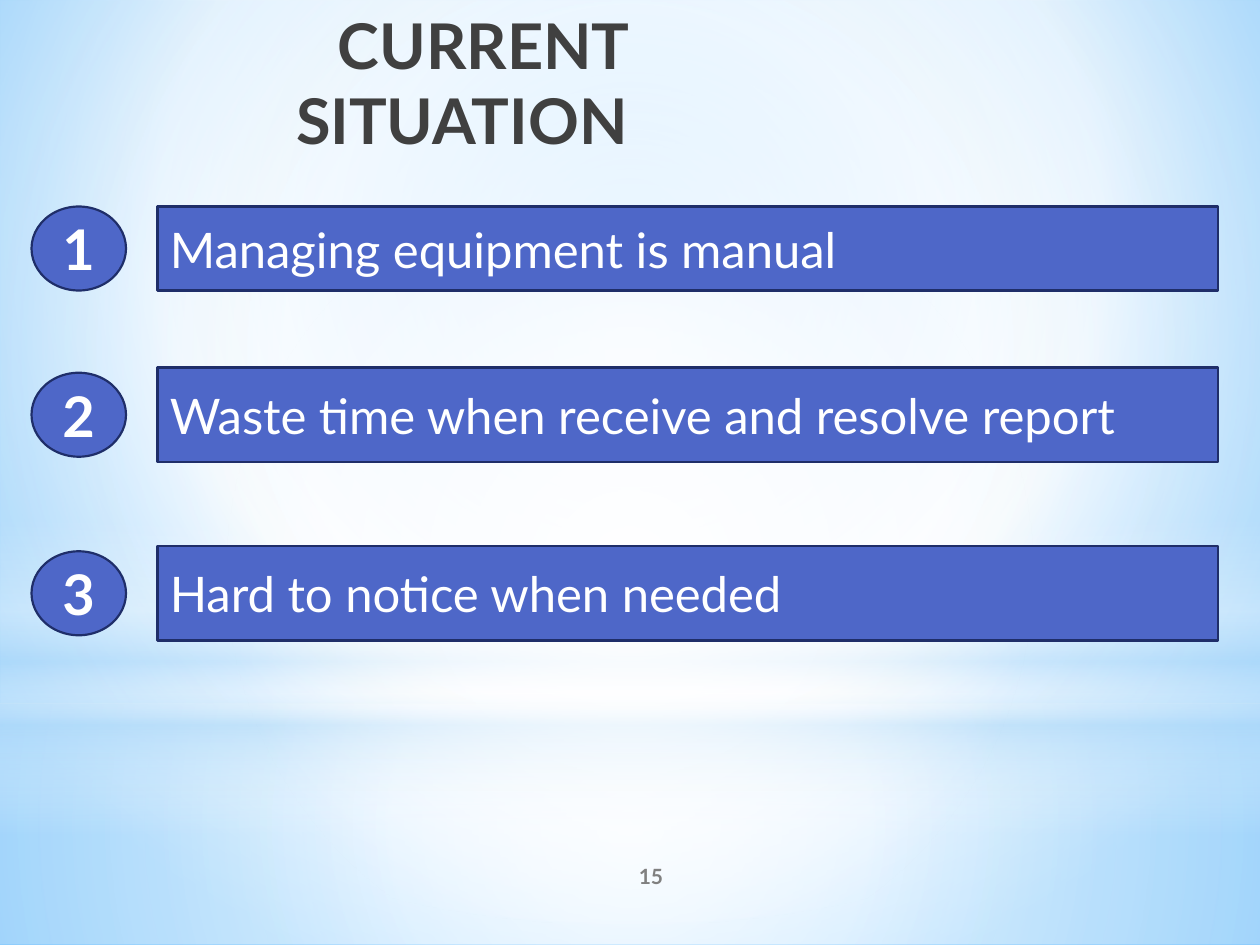
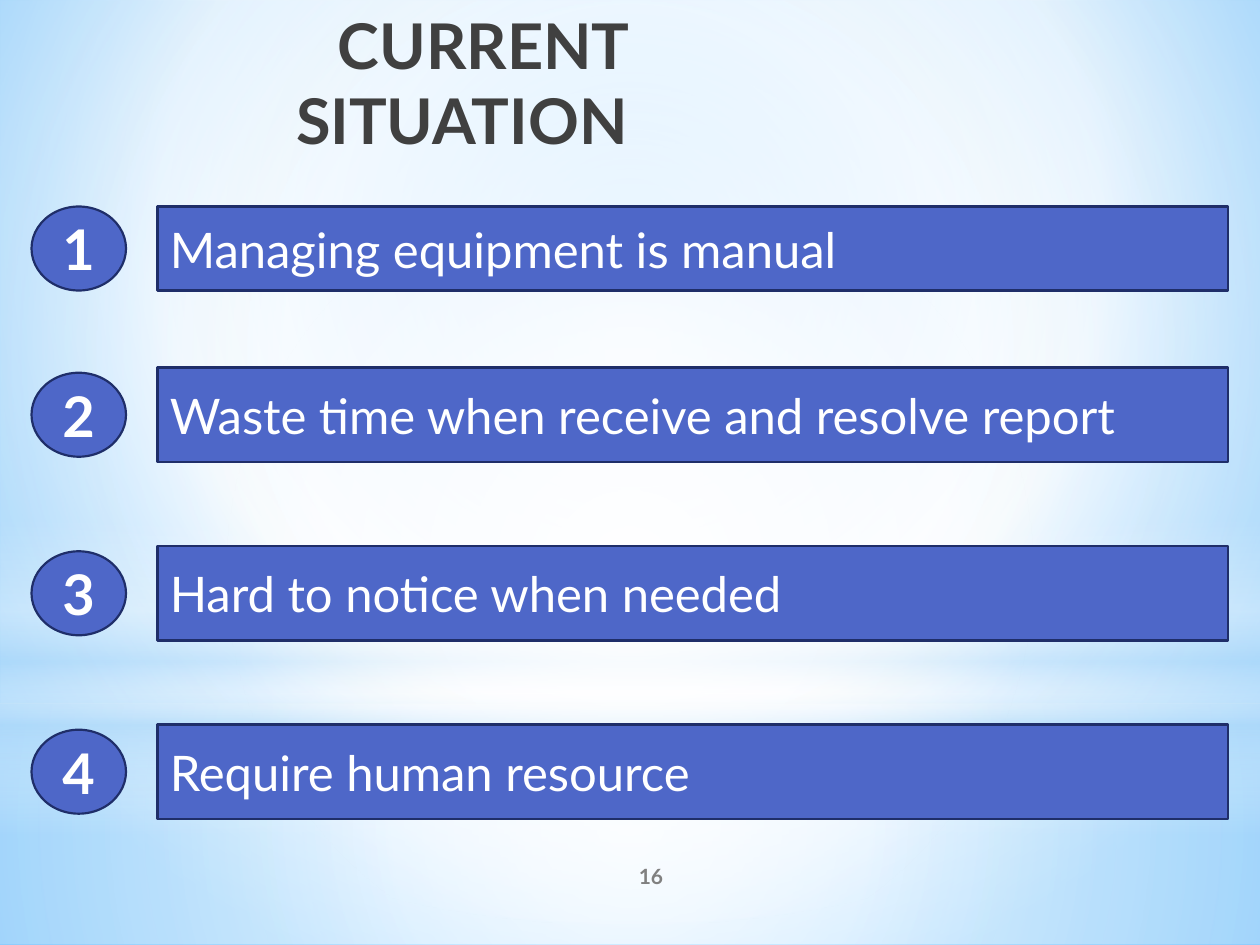
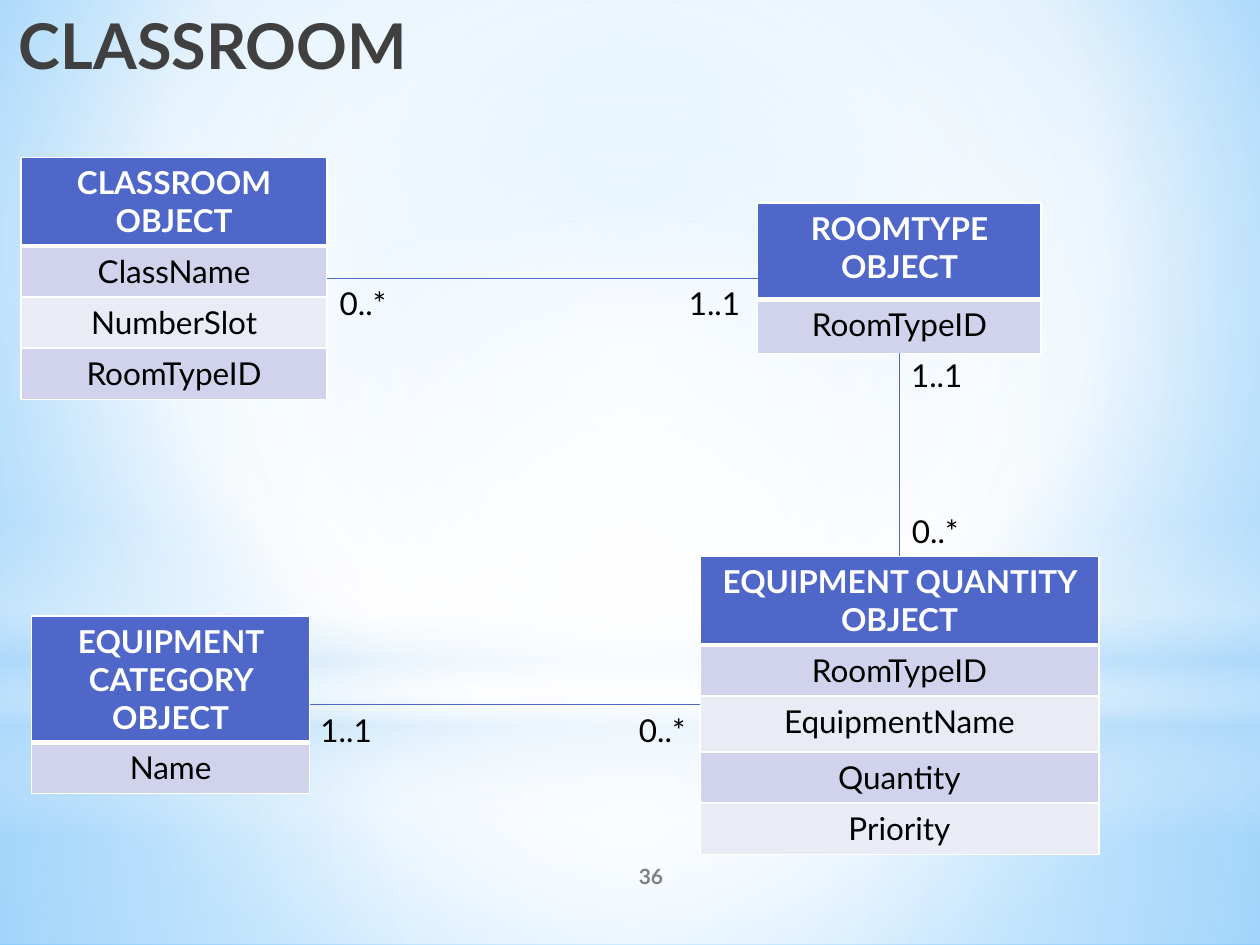
from dataclasses import dataclass

from lxml import etree
from pptx import Presentation
from pptx.dml.color import RGBColor
from pptx.enum.shapes import MSO_CONNECTOR, MSO_SHAPE
from pptx.enum.text import MSO_ANCHOR, MSO_AUTO_SIZE, PP_ALIGN
from pptx.oxml import parse_xml
from pptx.oxml.ns import qn
from pptx.util import Pt

RECTANGLE, OVAL = MSO_SHAPE.RECTANGLE, MSO_SHAPE.OVAL
STRAIGHT = MSO_CONNECTOR.STRAIGHT
LEFT, CENTER, RIGHT = PP_ALIGN.LEFT, PP_ALIGN.CENTER, PP_ALIGN.RIGHT
TOP, MIDDLE = MSO_ANCHOR.TOP, MSO_ANCHOR.MIDDLE
NO_FIT = MSO_AUTO_SIZE.NONE

FONT = "Lato"
WHITE, BLACK = "FFFFFF", "000000"
BLUE, NAVY, SKY = "4E67C8", "1F2E69", "B4DCFA"
TITLE_GREY, NUMBER_GREY = "404040", "808080"
BANDS = ("D0D3EB", "E9EBF5")
DRAWING_NS = "http://schemas.openxmlformats.org/drawingml/2006/main"

SLIDE_WIDTH, SLIDE_HEIGHT = 720, 540
TITLE_HEIGHT = 63
BADGE_LEFT, BADGE_WIDTH, BADGE_HEIGHT = 18, 54, 48
BAR_LEFT = 90
ROW_HEIGHT = 29.2


@dataclass(frozen=True)
class Gradient:
    stops: tuple[tuple[int, str, int], ...]
    focus: tuple[int, int, int, int] | None = (50, 50, 50, 50)


@dataclass(frozen=True)
class Glow:
    kind: int
    top: float
    height: float
    gradient: Gradient


@dataclass(frozen=True)
class Issue:
    text: str
    top: float
    height: float = 54


@dataclass(frozen=True)
class Entity:
    name: str
    fields: tuple[str, ...]
    left: float
    top: float
    width: float
    heights: tuple[float, ...]

    @property
    def right(self) -> float:
        return self.left + self.width

    @property
    def bottom(self) -> float:
        return self.top + sum(self.heights)

    @property
    def middle(self) -> float:
        return self.left + self.width / 2


@dataclass(frozen=True)
class Multiplicity:
    text: str
    left: float
    top: float


BACKGROUND = Gradient(
    ((0, "9ED5FF", 100), (60, WHITE, 100), (100, "5BB9FF", 100)), (20, 10, 20, 60))
GLOWS = (
    Glow(RECTANGLE, 402, 138,
         Gradient(((0, WHITE, 91), (37, WHITE, 76), (100, SKY, 79)))),
    Glow(RECTANGLE, 0, 402,
         Gradient(((0, WHITE, 89), (48, WHITE, 62), (100, SKY, 79)))),
    Glow(RECTANGLE, 297, 180,
         Gradient(((0, WHITE, 0), (29, WHITE, 30), (45, SKY, 40),
                   (55, WHITE, 26), (65, SKY, 60), (100, WHITE, 0)), None)),
    Glow(OVAL, 126, 402, Gradient(((0, WHITE, 100), (56, WHITE, 0)))),
)

ISSUES = (
    Issue("Managing equipment is manual", 118, 48),
    Issue("Waste time when receive and resolve report", 210),
    Issue("Hard to notice when needed", 312),
    Issue("Require human resource", 414),
)

CLASSROOM = Entity("CLASSROOM OBJECT", ("ClassName", "NumberSlot", "RoomTypeID"),
                   12, 90, 175, (50.6,) + (ROW_HEIGHT,) * 3)
ROOM_TYPE = Entity("ROOMTYPE OBJECT", ("RoomTypeID",), 433, 116, 162, (55, 31))
QUANTITY = Entity("EQUIPMENT QUANTITY OBJECT",
                  ("RoomTypeID", "EquipmentName", "Quantity", "Priority"),
                  400, 318, 228, (50.6, ROW_HEIGHT, 32, ROW_HEIGHT, ROW_HEIGHT))
CATEGORY = Entity("EQUIPMENT CATEGORY OBJECT", ("Name",),
                  18, 352, 159, (72.3, ROW_HEIGHT))
ENTITIES = (CLASSROOM, ROOM_TYPE, QUANTITY, CATEGORY)

CLASSROOM_LINK, CATEGORY_LINK = 159, 402.5
LINKS = (
    (CLASSROOM.right, CLASSROOM_LINK, ROOM_TYPE.left, CLASSROOM_LINK),
    (ROOM_TYPE.middle, ROOM_TYPE.bottom, ROOM_TYPE.middle, QUANTITY.top),
    (QUANTITY.left, CATEGORY_LINK, CATEGORY.right, CATEGORY_LINK),
)
MULTIPLICITIES = (
    Multiplicity("0..*", 187, CLASSROOM_LINK),
    Multiplicity("1..1", 386.5, CLASSROOM_LINK),
    Multiplicity("0..*", 514, 289),
    Multiplicity("1..1", 513.5, 200),
    Multiplicity("1..1", 176, CATEGORY_LINK),
    Multiplicity("0..*", 358, CATEGORY_LINK),
)


def rgb(color: str) -> RGBColor:
    return RGBColor.from_string(color)


def write(frame, text: str, size: float, color: str, bold: bool = False,
          align=LEFT, anchor=MIDDLE, wrap: bool = True) -> None:
    frame.word_wrap = wrap
    frame.auto_size = NO_FIT
    frame.vertical_anchor = anchor
    add_span(frame.paragraphs[0], text, size, color, bold, align)


def add_span(para, text: str, size: float, color: str, bold: bool, align) -> None:
    para.alignment = align
    span = para.add_run()
    span.text = text
    span.font.name = FONT
    span.font.size = Pt(size)
    span.font.bold = bold
    span.font.color.rgb = rgb(color)


def apply_gradient(fill, owner, gradient: Gradient) -> None:
    fill.gradient()
    stops = "".join(
        f'<a:gs pos="{place * 1000}"><a:srgbClr val="{color}">'
        f'<a:alpha val="{opacity * 1000}"/></a:srgbClr></a:gs>'
        for place, color, opacity in gradient.stops)
    if gradient.focus:
        sides = " ".join(f'{side}="{share * 1000}"'
                         for side, share in zip("ltrb", gradient.focus))
        direction = f'<a:path path="circle"><a:fillToRect {sides}/></a:path>'
    else:
        direction = '<a:lin ang="5400000" scaled="0"/>'
    old = next(owner.iter(qn("a:gradFill")))
    old.getparent().replace(old, parse_xml(
        f'<a:gradFill xmlns:a="{DRAWING_NS}" rotWithShape="1">'
        f'<a:gsLst>{stops}</a:gsLst>{direction}</a:gradFill>'))


def add_glow(page, glow: Glow):
    shape = page.shapes.add_shape(
        glow.kind, Pt(0), Pt(glow.top), Pt(SLIDE_WIDTH), Pt(glow.height))
    shape.shadow.inherit = False
    shape.line.fill.background()
    apply_gradient(shape.fill, shape.element, glow.gradient)
    return shape


def dress_layout(layout, page) -> None:
    for holder in list(layout.placeholders):
        if holder.placeholder_format.idx:
            holder.element.getparent().remove(holder.element)
    apply_gradient(layout.background.fill, layout.element, BACKGROUND)
    shapes = [add_glow(page, glow) for glow in GLOWS]
    for index, shape in enumerate(shapes, start=2):
        layout.shapes.element.insert(index, shape.element)


def add_box(page, text: str, left: float, top: float, width: float, height: float,
            size: float, color: str, **style) -> None:
    box = page.shapes.add_textbox(Pt(left), Pt(top), Pt(width), Pt(height))
    write(box.text_frame, text, size, color, **style)


def set_title(page, text: str, width: float) -> None:
    title = page.shapes.title
    title.left, title.top = Pt(0), Pt(0)
    title.width, title.height = Pt(width), Pt(TITLE_HEIGHT)
    write(title.text_frame, text, 36, TITLE_GREY, bold=True, align=RIGHT, anchor=TOP)


def add_number(page, number: int) -> None:
    add_box(page, str(number), 300, 486, 144, 29, 12, NUMBER_GREY,
            bold=True, align=CENTER)


def add_panel(page, kind, left: float, top: float, width: float, height: float,
              text: str, size: float, **style) -> None:
    shape = page.shapes.add_shape(kind, Pt(left), Pt(top), Pt(width), Pt(height))
    shape.shadow.inherit = False
    shape.fill.solid()
    shape.fill.fore_color.rgb = rgb(BLUE)
    shape.line.color.rgb = rgb(NAVY)
    shape.line.width = Pt(1.25)
    write(shape.text_frame, text, size, WHITE, **style)


def add_issue(page, number: int, issue: Issue, bar_width: float) -> None:
    add_panel(page, RECTANGLE, BAR_LEFT, issue.top, bar_width, issue.height,
              issue.text, 28)
    badge_top = issue.top + (issue.height - BADGE_HEIGHT) / 2
    add_panel(page, OVAL, BADGE_LEFT, badge_top, BADGE_WIDTH, BADGE_HEIGHT,
              str(number), 32, bold=True, align=CENTER)


def add_border(cell, side: str, width: float) -> None:
    properties = cell._tc.get_or_add_tcPr()
    line = etree.SubElement(properties, qn(f"a:ln{side}"), w=str(Pt(width)))
    fill = etree.SubElement(line, qn("a:solidFill"))
    etree.SubElement(fill, qn("a:srgbClr"), val=WHITE)


def add_entity(page, entity: Entity) -> None:
    texts = (entity.name,) + entity.fields
    table = page.shapes.add_table(
        len(texts), 1, Pt(entity.left), Pt(entity.top), Pt(entity.width),
        Pt(sum(entity.heights))).table
    for index, (text, height) in enumerate(zip(texts, entity.heights)):
        header = index == 0
        table.rows[index].height = Pt(height)
        cell = table.cell(index, 0)
        for side in "LRTB" if header else "LRB":
            add_border(cell, side, 3 if header and side == "B" else 1)
        cell.fill.solid()
        cell.fill.fore_color.rgb = rgb(BLUE if header else BANDS[(index - 1) % 2])
        add_span(cell.text_frame.paragraphs[0], text, 18,
                 WHITE if header else BLACK, header, CENTER)


def add_link(page, start_x: float, start_y: float, end_x: float, end_y: float) -> None:
    link = page.shapes.add_connector(
        STRAIGHT, Pt(start_x), Pt(start_y), Pt(end_x), Pt(end_y))
    link.line.color.rgb = rgb(BLUE)
    link.line.width = Pt(0.75)
    etree.SubElement(link.element.spPr, qn("a:effectLst"))


def fill_situation(page, number: int, issues: tuple[Issue, ...],
                   bar_width: float) -> None:
    set_title(page, "CURRENT SITUATION", 366)
    add_number(page, number)
    for position, issue in enumerate(issues, start=1):
        add_issue(page, position, issue, bar_width)


def fill_classroom(page, number: int) -> None:
    set_title(page, "CLASSROOM", 240)
    add_number(page, number)
    for entity in ENTITIES:
        add_entity(page, entity)
    for link in LINKS:
        add_link(page, *link)
    for label in MULTIPLICITIES:
        add_box(page, label.text, label.left, label.top, 46, 29, 18, BLACK,
                anchor=TOP, wrap=False)


def main() -> None:
    deck = Presentation()
    deck.slide_width, deck.slide_height = Pt(SLIDE_WIDTH), Pt(SLIDE_HEIGHT)
    layout = deck.slide_layouts.get_by_name("Title Only")
    three_issues, four_issues, classroom = (
        deck.slides.add_slide(layout) for _ in range(3))
    dress_layout(layout, three_issues)
    fill_situation(three_issues, 15, ISSUES[:3], 606)
    fill_situation(four_issues, 16, ISSUES, 612)
    fill_classroom(classroom, 36)
    deck.save("out.pptx")


if __name__ == "__main__":
    main()
